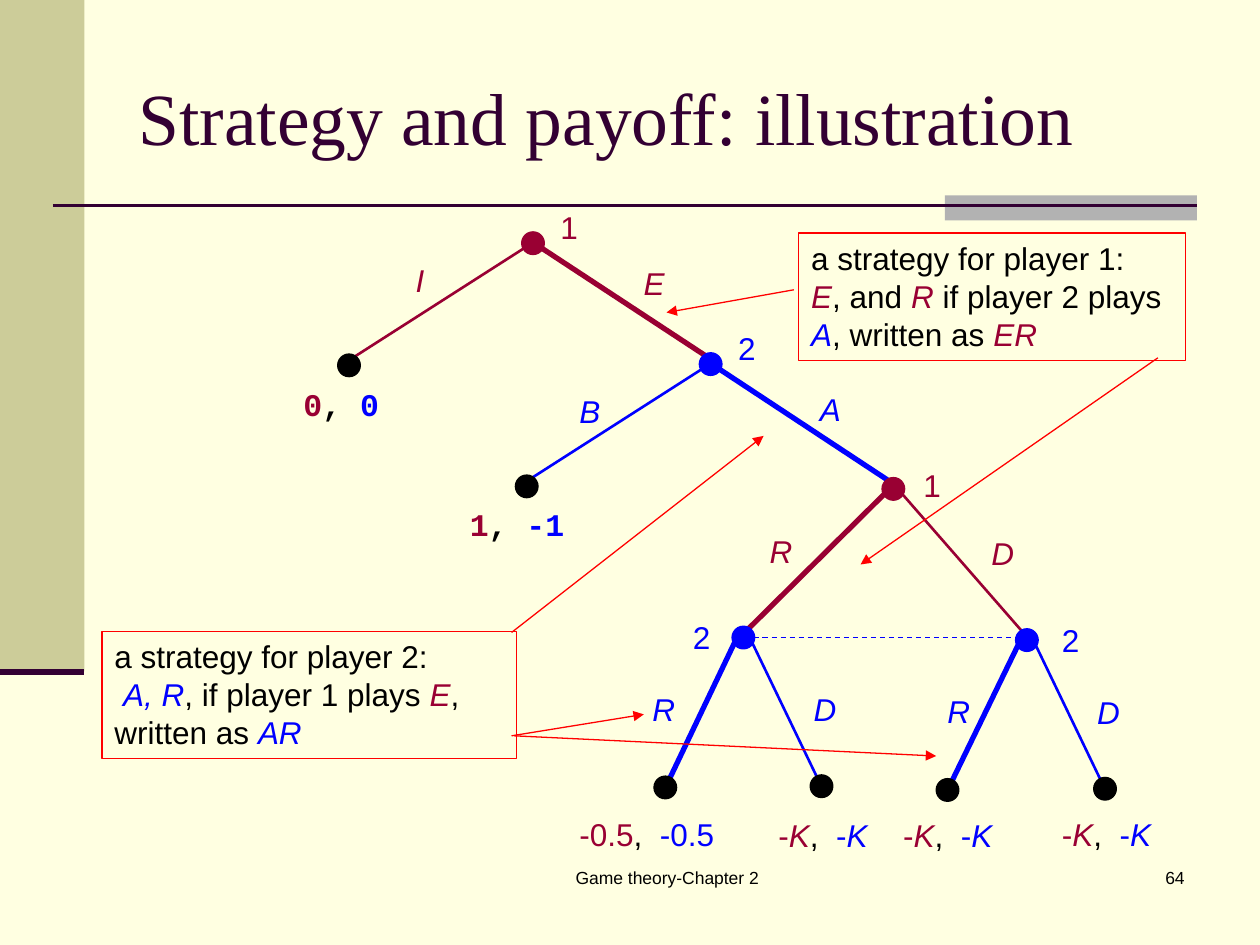
from lxml import etree
from pptx import Presentation
from pptx.dml.color import RGBColor
from pptx.enum import dml, shapes, text
from pptx.oxml.ns import qn
from pptx.util import Inches, Pt

RED, BLUE, BLACK = "990033", "0000FF", "000000"
PLUM, ARROW = "330033", "FF0000"
PLAIN, ITALIC, BOLD = "", "i", "b"

# Nodes: centre x, centre y, colour
NODES = {
    "root": (4.23, 1.93, RED), "I": (2.77, 2.9, BLACK),
    "E": (5.64, 2.89, BLUE), "B": (4.18, 3.86, BLACK),
    "A": (7.09, 3.88, RED),
    "AR": (5.9, 5.06, BLUE), "AD": (8.15, 5.08, BLUE),
    "ARR": (5.28, 6.25, BLACK), "ARD": (6.52, 6.24, BLACK),
    "ADR": (7.52, 6.27, BLACK), "ADD": (8.77, 6.26, BLACK),
}
# Moves: parent, child, line width
MOVES = [
    ("root", "I", 1.5), ("root", "E", 3), ("E", "B", 1.5), ("E", "A", 3),
    ("A", "AR", 3), ("A", "AD", 1.5), ("AR", "ARR", 3), ("AR", "ARD", 1.5),
    ("AD", "ADR", 3), ("AD", "ADD", 1.5),
]
# Labels: left, top, width, text, colour, style
LABELS = [
    (4.35, 1.6, 0.46, "1", RED, PLAIN), (5.76, 2.56, 0.46, "2", BLUE, PLAIN),
    (7.23, 3.65, 0.41, "1", RED, PLAIN), (5.4, 4.86, 0.31, "2", BLUE, PLAIN),
    (8.33, 4.88, 0.31, "2", BLUE, PLAIN),
    (3.2, 2.02, 0.32, "I", RED, ITALIC), (5.01, 2.05, 0.51, "E", RED, ITALIC),
    (4.5, 3.06, 0.43, "B", BLUE, ITALIC), (6.41, 3.05, 0.54, "A", BLUE, ITALIC),
    (6.01, 4.17, 0.37, "R", RED, ITALIC), (7.77, 4.19, 0.4, "D", RED, ITALIC),
    (5.08, 5.43, 0.47, "R", BLUE, ITALIC), (6.36, 5.43, 0.41, "D", BLUE, ITALIC),
    (7.42, 5.44, 0.37, "R", BLUE, ITALIC), (8.61, 5.45, 0.41, "D", BLUE, ITALIC),
]
# Payoffs: left, top, width, font, runs
K_PAYOFF = [("-", RED, PLAIN), ("K", RED, ITALIC), (",  ", BLACK, PLAIN),
            ("-", BLUE, PLAIN), ("K", BLUE, ITALIC)]
PAYOFFS = [
    (2.31, 3.01, 0.81, "Courier New",
     [("0", RED, BOLD), (", ", BLACK, BOLD), ("0", BLUE, BOLD)]),
    (3.63, 3.96, 0.99, "Courier New",
     [("1", RED, BOLD), (", ", BLACK, BOLD), ("-1", BLUE, BOLD)]),
    (4.5, 6.42, 1.29, "Arial",
     [("-0.5", RED, PLAIN), (",  ", BLACK, PLAIN), ("-0.5", BLUE, PLAIN)]),
    (6.08, 6.43, 0.96, "Arial", K_PAYOFF),
    (7.07, 6.43, 0.96, "Arial", K_PAYOFF),
    (8.33, 6.42, 0.96, "Arial", K_PAYOFF),
]
# Callouts: box, runs ("\n" breaks the line)
CALLOUTS = [
    ((6.34, 1.85, 3.07, 1.01),
     [("a strategy for player 1: ", BLACK, PLAIN), ("\n", BLACK, PLAIN),
      ("E", RED, ITALIC), (", and ", BLACK, PLAIN), ("R", RED, ITALIC),
      (" if player 2 plays ", BLACK, PLAIN), ("A", BLUE, ITALIC),
      (", written as ", BLACK, PLAIN), ("ER", RED, ITALIC)]),
    ((0.81, 5.01, 3.29, 1.01),
     [("a strategy for player 2:", BLACK, PLAIN), ("\n", BLACK, PLAIN),
      (" ", BLACK, PLAIN), ("A, R", BLUE, ITALIC),
      (", if player 1 plays ", BLACK, PLAIN), ("E", RED, ITALIC),
      (", written as ", BLACK, PLAIN), ("AR", BLUE, ITALIC)]),
]
POINTERS = [
    ((6.3, 2.3), (5.29, 2.48)), ((9.19, 2.84), (6.83, 4.48)),
    ((4.06, 5.02), (6.06, 3.46)), ((4.06, 5.84), (5.11, 5.67)),
    ((4.08, 5.84), (7.43, 6)),
]


def rgb(color):
    return RGBColor.from_string(color)


def add_shape(s, kind, box, fill=None, line=None):
    sp = s.shapes.add_shape(kind, *map(Inches, box))
    sp.shadow.inherit = False
    if fill:
        sp.fill.solid()
        sp.fill.fore_color.rgb = rgb(fill)
    else:
        sp.fill.background()
    if line:
        sp.line.color.rgb = rgb(line)
        sp.line.width = Pt(0.75)
    else:
        sp.line.fill.background()
    return sp


def add_line(s, start, end, color, width, arrow=False, dash=False):
    cx = s.shapes.add_connector(shapes.MSO_CONNECTOR.STRAIGHT,
                                *map(Inches, (*start, *end)))
    cx.line.color.rgb = rgb(color)
    cx.line.width = Pt(width)
    if dash:
        cx.line.dash_style = dml.MSO_LINE.DASH
    if arrow:
        etree.SubElement(cx.line._get_or_add_ln(), qn("a:tailEnd"), type="triangle")
    etree.SubElement(cx._element.spPr, qn("a:effectLst"))


def write(sp, runs, font="Arial", size=18, align=text.PP_ALIGN.LEFT,
          anchor=text.MSO_ANCHOR.TOP):
    tf = sp.text_frame
    tf.word_wrap = True
    tf.vertical_anchor = anchor
    p = tf.paragraphs[0]
    p.alignment = align
    for words, color, style in runs:
        if words == "\n":
            p.add_line_break()
            continue
        r = p.add_run()
        r.text = words
        r.font.name, r.font.size = font, Pt(size)
        r.font.color.rgb = rgb(color)
        r.font.italic, r.font.bold = style == ITALIC, style == BOLD


def add_text(s, box, runs, **look):
    write(s.shapes.add_textbox(*map(Inches, box)), runs, **look)


def main():
    prs = Presentation()
    prs.slide_width, prs.slide_height = Inches(10), Inches(7.5)
    s = prs.slides.add_slide(prs.slide_layouts[6])
    s.background.fill.solid()
    s.background.fill.fore_color.rgb = rgb("FFFFE1")
    rect, oval = shapes.MSO_SHAPE.RECTANGLE, shapes.MSO_SHAPE.OVAL

    # Frame, title and footer
    add_shape(s, rect, (0, 0, 0.67, 5.33), "CCCC99")
    add_shape(s, rect, (7.5, 1.55, 2, 0.2), "B2B2B2")
    add_line(s, (0.42, 1.63), (9.5, 1.63), PLUM, 1.5)
    add_line(s, (0, 5.33), (0.67, 5.33), PLUM, 3.5)
    add_text(s, (1, 0.3, 8.5, 1.25),
             [("Strategy and payoff: illustration", PLUM, PLAIN)],
             font="Times New Roman", size=42, anchor=text.MSO_ANCHOR.MIDDLE)
    add_text(s, (3.67, 6.83, 3.25, 0.5), [("Game theory-Chapter 2", BLACK, PLAIN)],
             size=10, align=text.PP_ALIGN.CENTER)
    add_text(s, (7.42, 6.83, 2.08, 0.5), [("64", BLACK, PLAIN)],
             size=10, align=text.PP_ALIGN.RIGHT)

    # Game tree: each move runs between the facing edges of its two nodes
    for parent, child, width in MOVES:
        x1, y1, color = NODES[parent]
        x2, y2, _ = NODES[child]
        side = 1 if x2 > x1 else -1
        add_line(s, (x1 + 0.07 * side, y1 + 0.04),
                 (x2 - 0.03 * side, y2 - 0.06), color, width)
    add_line(s, (5.98, 5.06), (8.09, 5.06), BLUE, 0.75, dash=True)
    for x, y, color in NODES.values():
        add_shape(s, oval, (x - 0.09, y - 0.09, 0.18, 0.18), color, color)

    # Players, moves and payoffs
    for x, y, w, *run in LABELS:
        add_text(s, (x, y, w, 0.4), [run])
    for x, y, w, font, runs in PAYOFFS:
        add_text(s, (x, y, w, 0.4), runs, font=font)

    # Strategy callouts
    for box, runs in CALLOUTS:
        write(add_shape(s, rect, box, line=ARROW), runs)
    for start, end in POINTERS:
        add_line(s, start, end, ARROW, 0.75, arrow=True)

    prs.save("out.pptx")


if __name__ == "__main__":
    main()
